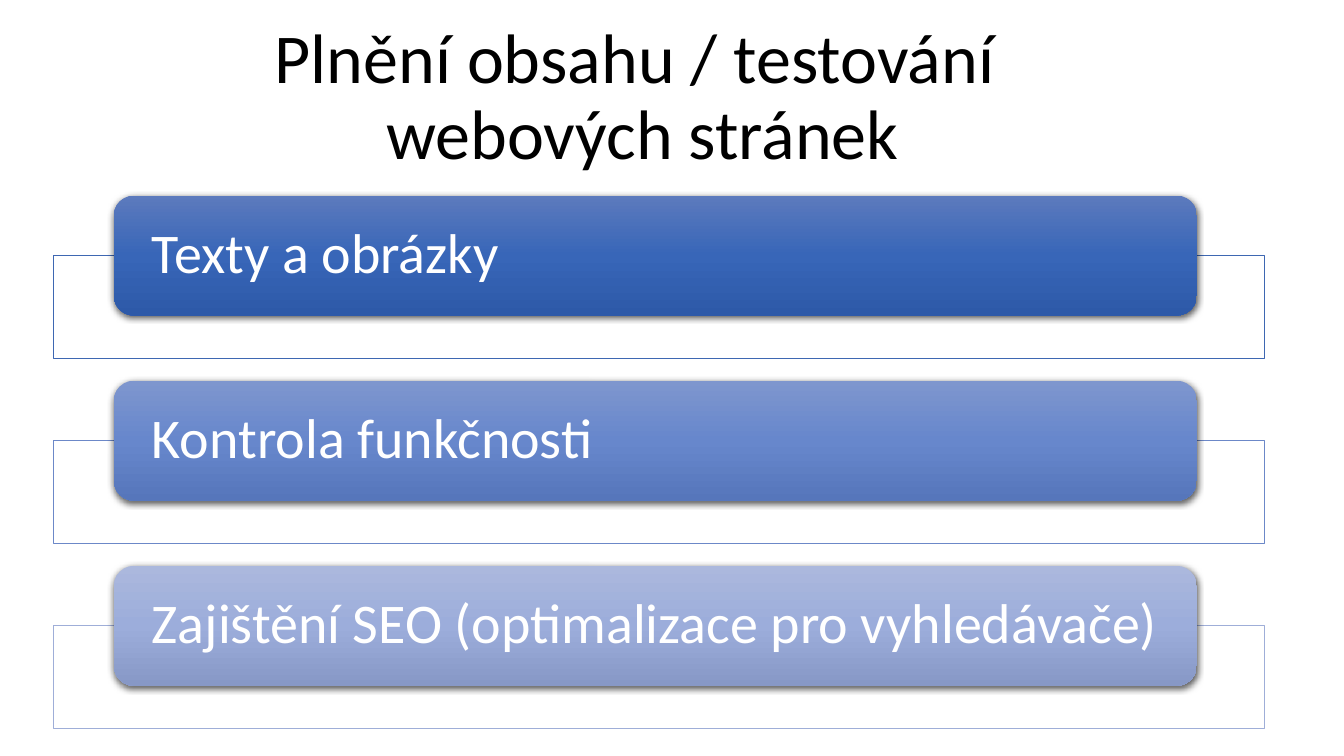
from dataclasses import dataclass

from lxml import etree
from pptx import Presentation
from pptx.dml.color import RGBColor
from pptx.enum.shapes import MSO_SHAPE
from pptx.enum.text import MSO_ANCHOR, PP_ALIGN
from pptx.oxml.ns import qn
from pptx.util import Inches, Pt

RECT, ROUNDED = MSO_SHAPE.RECTANGLE, MSO_SHAPE.ROUNDED_RECTANGLE
MIDDLE = MSO_ANCHOR.MIDDLE
LEFT, CENTER = PP_ALIGN.LEFT, PP_ALIGN.CENTER


@dataclass(frozen=True)
class Theme:
    font: str = "Calibri"
    title_size: int = 50
    item_size: int = 40
    black: str = "000000"
    white: str = "FFFFFF"


THEME = Theme()
ITEMS = [
    ("Texty a obrázky", "3E67B2", ("5C7ABD", "3866B8", "2D59A8")),
    ("Kontrola funkčnosti", "6C88C8", ("7E96CE", "6787CC", "5676BB")),
    ("Zajištění SEO (optimalizace pro vyhledávače)", "9FAED8",
     ("ABB8DD", "9CADDB", "8798C6")),
]


def add_node(parent, tag, **attrs):
    node = etree.SubElement(parent, qn(tag))
    for name, value in attrs.items():
        node.set(name, str(value))
    return node


def format_text(shape, text, size, color, align):
    tf = shape.text_frame
    tf.word_wrap = True
    tf.vertical_anchor = MIDDLE
    tf.text = text
    p = tf.paragraphs[0]
    p.alignment = align
    p.line_spacing = 0.9
    p.font.name = THEME.font
    p.font.size = Pt(size)
    p.font.color.rgb = RGBColor.from_string(color)
    return tf


def set_gradient(shape, colors):
    shape.fill.gradient()
    shape.fill.gradient_angle = 270
    stops = shape._element.spPr.find(qn("a:gradFill")).find(qn("a:gsLst"))
    for stop in list(stops):
        stops.remove(stop)
    for i, color in enumerate(colors):
        stop = add_node(stops, "a:gs", pos=i * 50000)
        add_node(stop, "a:srgbClr", val=color)


def set_shadow(shape):
    shape.shadow.inherit = False
    effects = shape._element.spPr.find(qn("a:effectLst"))
    shadow = add_node(effects, "a:outerShdw", blurRad=Pt(4.5), dist=Pt(1.5),
                      dir=5400000, algn="ctr", rotWithShape=0)
    color = add_node(shadow, "a:srgbClr", val=THEME.black)
    add_node(color, "a:alpha", val=63000)


def add_title(s, x, y, w, h):
    title = s.shapes.title
    title.left, title.top = Inches(x), Inches(y)
    title.width, title.height = Inches(w), Inches(h)
    format_text(title, "Plnění obsahu / testování \vwebových stránek",
                THEME.title_size, THEME.black, CENTER)


def add_item(s, x, y, w, h, text, line_color, gradient):
    bar_h = 1.19
    frame_top = bar_h / 2
    frame = s.shapes.add_shape(RECT, Inches(x), Inches(y + frame_top),
                               Inches(w), Inches(h - frame_top))
    frame.shadow.inherit = False
    frame.fill.solid()
    frame.fill.fore_color.rgb = RGBColor.from_string(THEME.white)
    fill = frame._element.spPr.find(qn("a:solidFill"))
    add_node(fill.find(qn("a:srgbClr")), "a:alpha", val=90000)
    frame.line.color.rgb = RGBColor.from_string(line_color)
    frame.line.width = Pt(0.5)

    bar = s.shapes.add_shape(ROUNDED, Inches(x + 0.6), Inches(y),
                             Inches(w - 1.27), Inches(bar_h))
    set_gradient(bar, gradient)
    bar.line.fill.background()
    set_shadow(bar)
    tf = format_text(bar, text, THEME.item_size, THEME.white, LEFT)
    tf.margin_left = tf.margin_right = Inches(0.32)
    tf.margin_top = tf.margin_bottom = 0


def add_list(s, x, y, w, h):
    gap = 0.22
    item_h = (h - gap * (len(ITEMS) - 1)) / len(ITEMS)
    for i, item in enumerate(ITEMS):
        add_item(s, x, y + i * (item_h + gap), w, item_h, *item)


def main():
    prs = Presentation()
    prs.slide_width, prs.slide_height = Inches(13.33), Inches(7.5)
    s = prs.slides.add_slide(prs.slide_layouts[5])
    add_title(s, 0.33, 0.15, 12.09, 1.66)
    add_list(s, 0.53, 1.94, 12.01, 5.29)
    prs.save("out.pptx")


if __name__ == "__main__":
    main()
